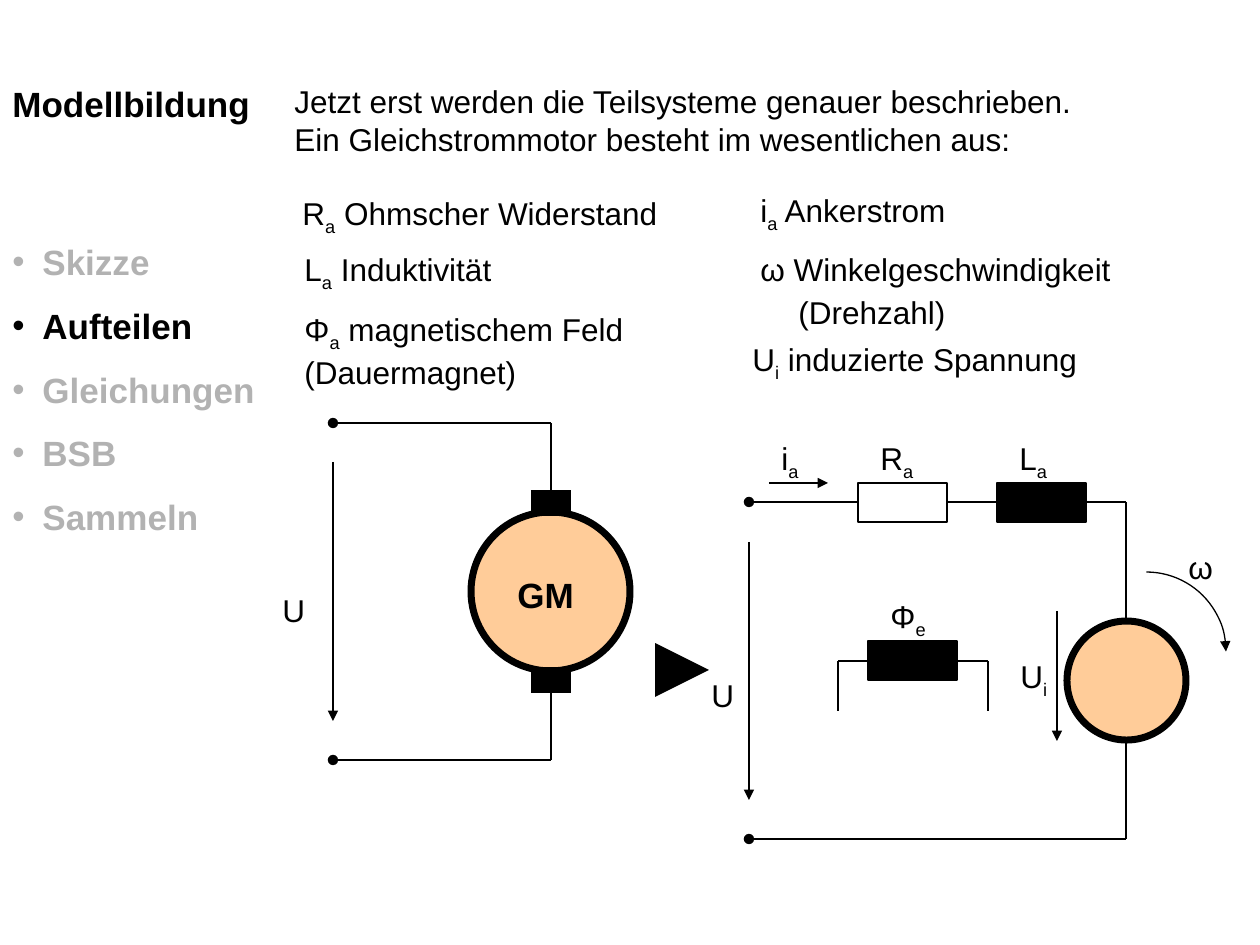
import lxml.etree
import pptx
import pptx.dml.color
import pptx.enum.shapes
import pptx.oxml.ns
import pptx.util

COLOURS = {"black": "000000", "grey": "B2B2B2", "skin": "FFCC99"}
SHAPES = pptx.enum.shapes.MSO_SHAPE
THIN, THICK, BLOCK, BRUSH = 0.74, 4, 10.26, 15


class Sketch:
    """Draws circuit elements and text on one slide, in pixels."""

    scale = 9144000 / 1260
    font = "Arial"

    def __init__(self, deck):
        deck.slide_width, deck.slide_height = self.emu(1260), self.emu(945)
        self.page = deck.slides.add_slide(deck.slide_layouts[6])

    def emu(self, pixels):
        return pptx.util.Emu(round(pixels * self.scale))

    def colour(self, name):
        return pptx.dml.color.RGBColor.from_string(COLOURS[name])

    def child(self, parent, tag, **values):
        node = lxml.etree.SubElement(parent, pptx.oxml.ns.qn(tag))
        for key, value in values.items():
            node.set(key, str(value))
        return node

    def stroke(self, item, weight, end=None):
        item.line.color.rgb = self.colour("black")
        item.line.width = pptx.util.Pt(weight)
        if end:
            self.child(item.line._get_or_add_ln(), "a:tailEnd", type=end)

    def line(self, left, top, right, bottom, end=None, weight=THIN):
        wire = self.page.shapes.add_connector(
            pptx.enum.shapes.MSO_CONNECTOR.STRAIGHT,
            *map(self.emu, (left, top, right, bottom)))
        self.stroke(wire, weight, end)
        self.child(wire._element.spPr, "a:effectLst")

    def shape(self, kind, left, top, width, height, fill=None, weight=THIN, end=None):
        item = self.page.shapes.add_shape(
            kind, *map(self.emu, (left, top, width, height)))
        item.shadow.inherit = False
        if fill:
            item.fill.solid()
            item.fill.fore_color.rgb = self.colour(fill)
        else:
            item.fill.background()
        self.stroke(item, weight, end)

    def text(self, left, top, width, height, paras, size=18, bold=False):
        """Adds a text box; parts starting with an underscore are subscripts."""
        box = self.page.shapes.add_textbox(
            *map(self.emu, (left, top, width, height)))
        frame = box.text_frame
        frame.word_wrap = True
        for index, parts in enumerate(paras):
            para = frame.add_paragraph() if index else frame.paragraphs[0]
            for part in parts:
                self.span(para, part.lstrip("_"), size, bold)
                if part.startswith("_"):
                    para.runs[-1]._r.get_or_add_rPr().set("baseline", "-25000")
        return frame

    def span(self, para, words, size, bold):
        span = para.add_run()
        span.text = words
        span.font.name = self.font
        span.font.size = pptx.util.Pt(size)
        span.font.bold = bold
        span.font.color.rgb = self.colour("black")

    def indent(self, para, margin, first=0):
        props = para._p.get_or_add_pPr()
        props.set("marL", str(self.emu(margin)))
        props.set("indent", str(self.emu(first)))
        return props

    def bullets(self, left, top, width, height, words, current):
        frame = self.text(left, top, width, height, [[word] for word in words], 20, True)
        for para in frame.paragraphs:
            name = "black" if para.text == current else "grey"
            para.runs[0].font.color.rgb = self.colour(name)
            para.space_before = pptx.util.Pt(12.5)
            props = self.indent(para, 30, -30)
            self.child(self.child(props, "a:buClr"), "a:srgbClr", val=COLOURS[name])
            self.child(props, "a:buFont", typeface=self.font)
            self.child(props, "a:buChar", char="•")


deck = pptx.Presentation()
sketch = Sketch(deck)

sketch.bullets(0, 234, 282, 546,
               ["Skizze", "Aufteilen", "Gleichungen", "BSB", "Sammeln"], "Aufteilen")
sketch.text(0, 76, 282, 79, [["Modellbildung"]], 20, True)
sketch.text(282, 76, 901, 88, [
    ["Jetzt erst werden die Teilsysteme genauer beschrieben."],
    ["Ein Gleichstrommotor besteht im wesentlichen aus:"]])

for left, top, height, paras in [
    (290, 188, 55, [["R", "_a", " Ohmscher Widerstand"]]),
    (292, 244, 55, [["L", "_a", " Induktivität"]]),
    (292, 304, 93, [["Φ", "_a", " magnetischem Feld"], ["(Dauermagnet)"]]),
    (748, 185, 55, [["i", "_a", " Ankerstrom"]]),
    (740, 334, 55, [["U", "_i", " induzierte Spannung"]]),
]:
    sketch.text(left, top, 384, height, paras)
speed = sketch.text(748, 244, 384, 93, [["ω Winkelgeschwindigkeit"], ["(Drehzahl)"]])
speed.paragraphs[1].space_before = pptx.util.Pt(3)
sketch.indent(speed.paragraphs[1], 38)

MOTOR_X, POLE_X, SOURCE_X, ROTOR_X = 551, 333, 749, 1126
sketch.shape(SHAPES.OVAL, 471, 512, 159, 159, "skin", THICK)
sketch.text(505, 567, 90, 55, [["GM"]], 20, True)
for brush, inner, outer in [(503, 493, 423), (680, 690, 760)]:
    sketch.line(MOTOR_X - 20, brush, MOTOR_X + 20, brush, weight=BRUSH)
    sketch.line(MOTOR_X, outer, MOTOR_X, inner)
    sketch.line(MOTOR_X, outer, POLE_X, outer, "oval")

for arrow in [(POLE_X, 462, POLE_X, 721), (SOURCE_X, 542, SOURCE_X, 800),
              (769, 483, 828, 483), (1057, 611, 1057, 741)]:
    sketch.line(*arrow, "triangle")
sketch.line(660, 670, 709, 670, "triangle", BLOCK)

for left, top, fill in [(858, 483, None), (997, 483, "black"), (868, 641, "black")]:
    sketch.shape(SHAPES.RECTANGLE, left, top, 89, 39, fill)
for end in [(858, 502, SOURCE_X, 502), (ROTOR_X, 839, SOURCE_X, 839)]:
    sketch.line(*end, "oval")
for wire in [(947, 502, 997, 502), (1086, 502, ROTOR_X, 502),
             (ROTOR_X, 839, ROTOR_X, 741), (ROTOR_X, 621, ROTOR_X, 502),
             (868, 661, 838, 661), (838, 661, 838, 711),
             (958, 661, 988, 661), (988, 661, 988, 711)]:
    sketch.line(*wire)
sketch.shape(SHAPES.OVAL, 1067, 621, 119, 119, "skin", THICK)
sketch.shape(SHAPES.ARC, 1067, 572, 159, 159, end="triangle")

for left, top, width, parts in [
    (270, 585, 48, ["U"]), (699, 670, 48, ["U"]), (1176, 542, 49, ["ω"]),
    (769, 433, 53, ["i", "_a"]), (868, 433, 62, ["R", "_a"]),
    (1007, 433, 62, ["L", "_a"]), (878, 591, 72, ["Φ", "_e"]),
    (1008, 651, 60, ["U", "_i"]),
]:
    sketch.text(left, top, width, 55, [parts])

deck.save("out.pptx")
